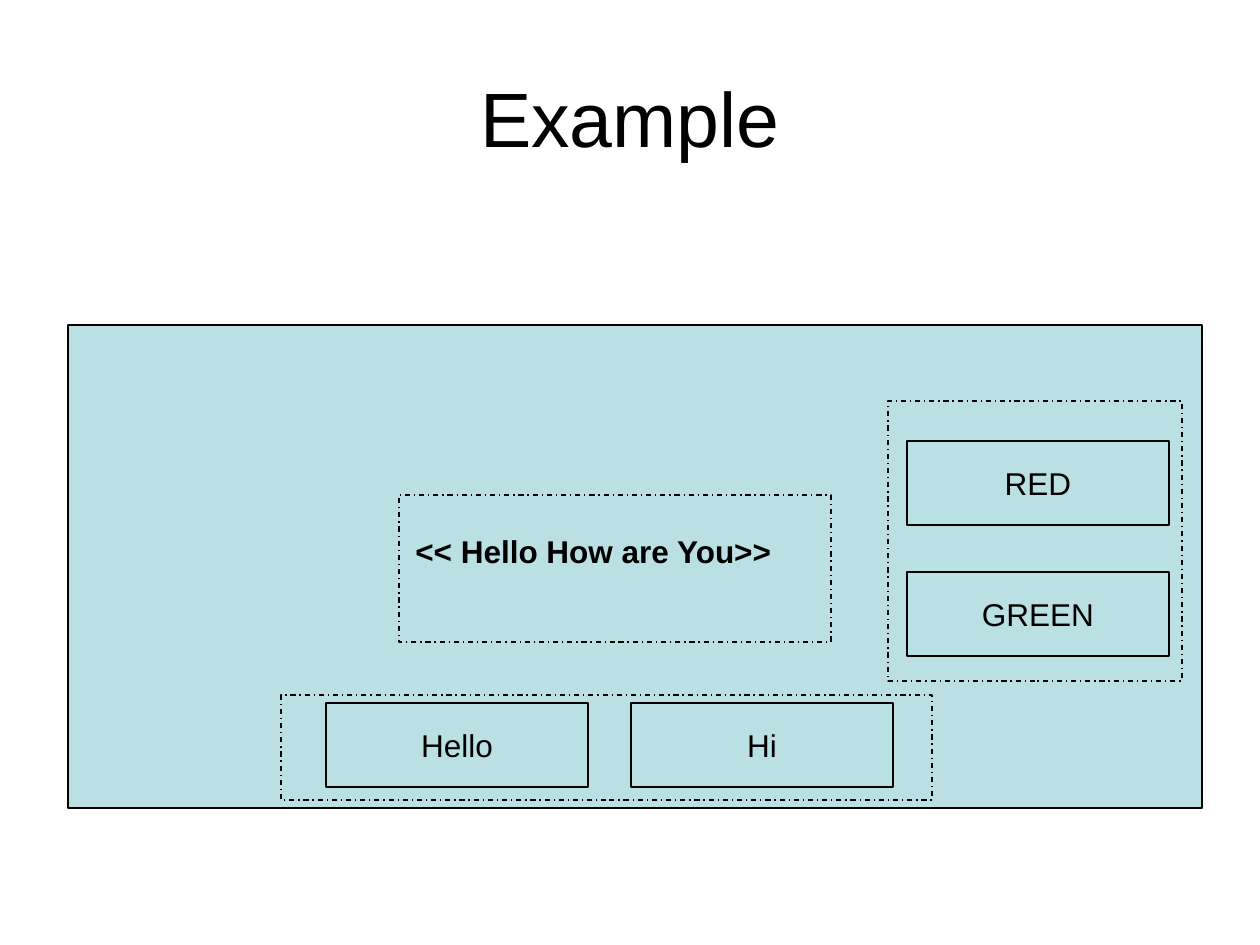
import pptx
import pptx.util
from pptx.dml.color import RGBColor
from pptx.enum.dml import MSO_LINE
from pptx.enum.shapes import MSO_SHAPE
from pptx.enum.text import MSO_ANCHOR, PP_ALIGN

PX_PER_INCH = 126
BLACK = "000000"
PANEL_BLUE = "BBE0E3"
BUTTON_SIZE = (262, 84)
BUTTONS = [
    ("Hello", 326, 703),
    ("Hi", 631, 703),
    ("RED", 907, 441),
    ("GREEN", 907, 572),
]
REGIONS = [
    (281, 695, 651, 105),
    (399, 495, 432, 147),
    (888, 401, 294, 280),
]


def px(*lengths):
    """Turn pixel lengths into a list of EMU lengths."""
    return [pptx.util.Emu(round(length * 914400 / PX_PER_INCH)) for length in lengths]


def color(value):
    """Turn a hex string into a colour."""
    return RGBColor.from_string(value)


def write(shape, text, size, align, bold=False):
    """Write one vertically centred paragraph into a shape."""
    frame = shape.text_frame
    frame.vertical_anchor = MSO_ANCHOR.MIDDLE
    para = frame.paragraphs[0]
    para.text = text
    para.alignment = align
    para.font.name = "Arial"
    para.font.size = pptx.util.Pt(size)
    para.font.bold = bold
    para.font.color.rgb = color(BLACK)


def add_label(page, bounds, text, size, align, bold=False):
    """Add a wrapping text box."""
    box = page.shapes.add_textbox(*px(*bounds))
    box.text_frame.word_wrap = True
    write(box, text, size, align, bold)


def add_box(page, bounds, fill=None, dash=None):
    """Add a thinly outlined rectangle."""
    box = page.shapes.add_shape(MSO_SHAPE.RECTANGLE, *px(*bounds))
    box.shadow.inherit = False
    if fill:
        box.fill.solid()
        box.fill.fore_color.rgb = color(fill)
    else:
        box.fill.background()
    box.line.color.rgb = color(BLACK)
    box.line.width = pptx.util.Pt(0.75)
    if dash:
        box.line.dash_style = dash
    return box


def add_button(page, text, left, top):
    """Add a filled rectangle with a centred caption."""
    button = add_box(page, (left, top, *BUTTON_SIZE), PANEL_BLUE)
    button.text_frame.word_wrap = False
    write(button, text, 18, PP_ALIGN.CENTER)


def main():
    """Build the example screen layout slide."""
    deck = pptx.Presentation()
    deck.slide_width, deck.slide_height = px(1260, 945)
    page = deck.slides.add_slide(deck.slide_layouts[6])
    add_label(page, (63, 38, 1134, 157), "Example", 44, PP_ALIGN.CENTER)
    add_box(page, (68, 325, 1134, 483), PANEL_BLUE)
    for text, left, top in BUTTONS:
        add_button(page, text, left, top)
    add_label(page, (403, 525, 557, 51), "<< Hello How are You>>", 18, PP_ALIGN.LEFT, bold=True)
    for bounds in REGIONS:
        add_box(page, bounds, dash=MSO_LINE.DASH_DOT)
    deck.save("out.pptx")


if __name__ == "__main__":
    main()
